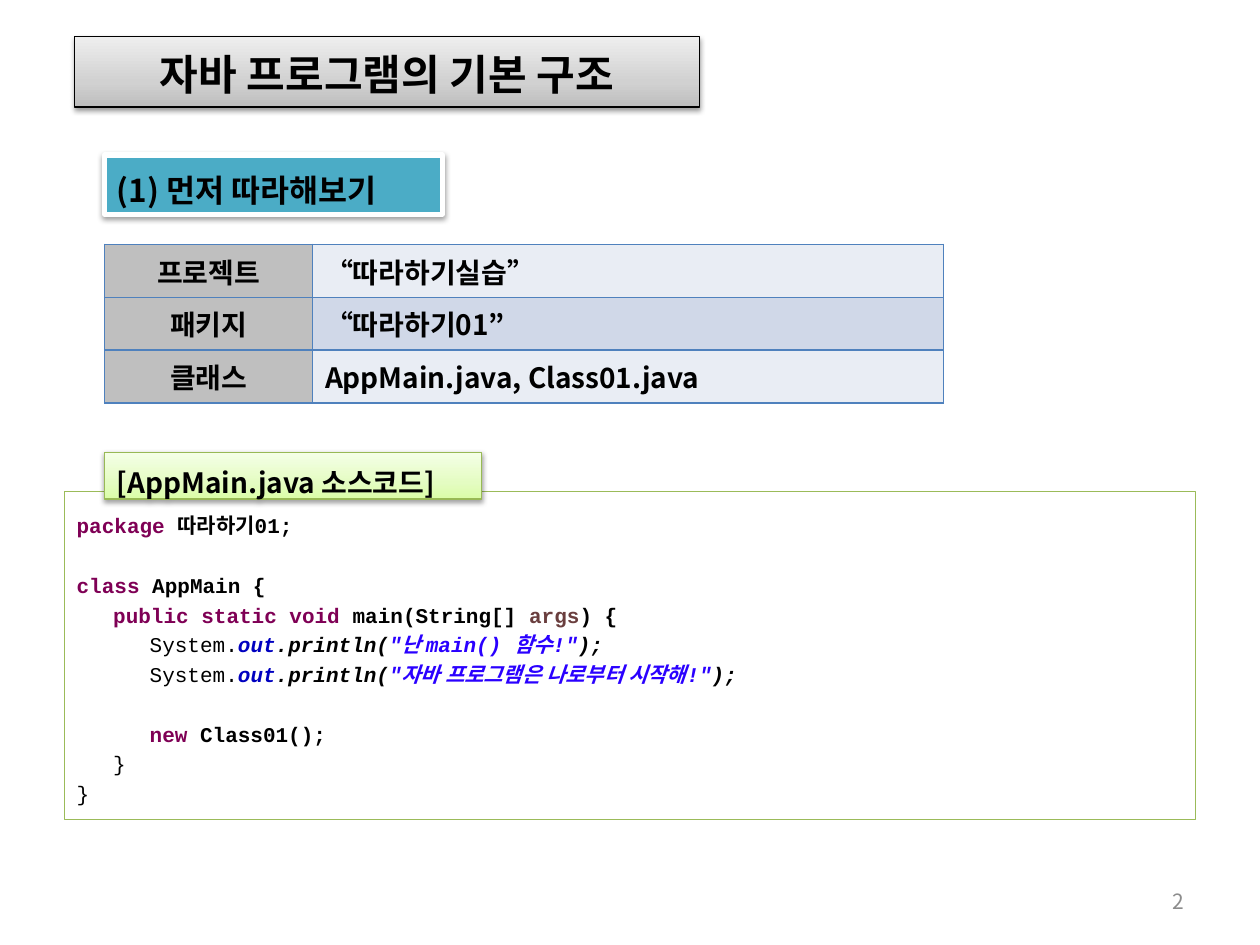
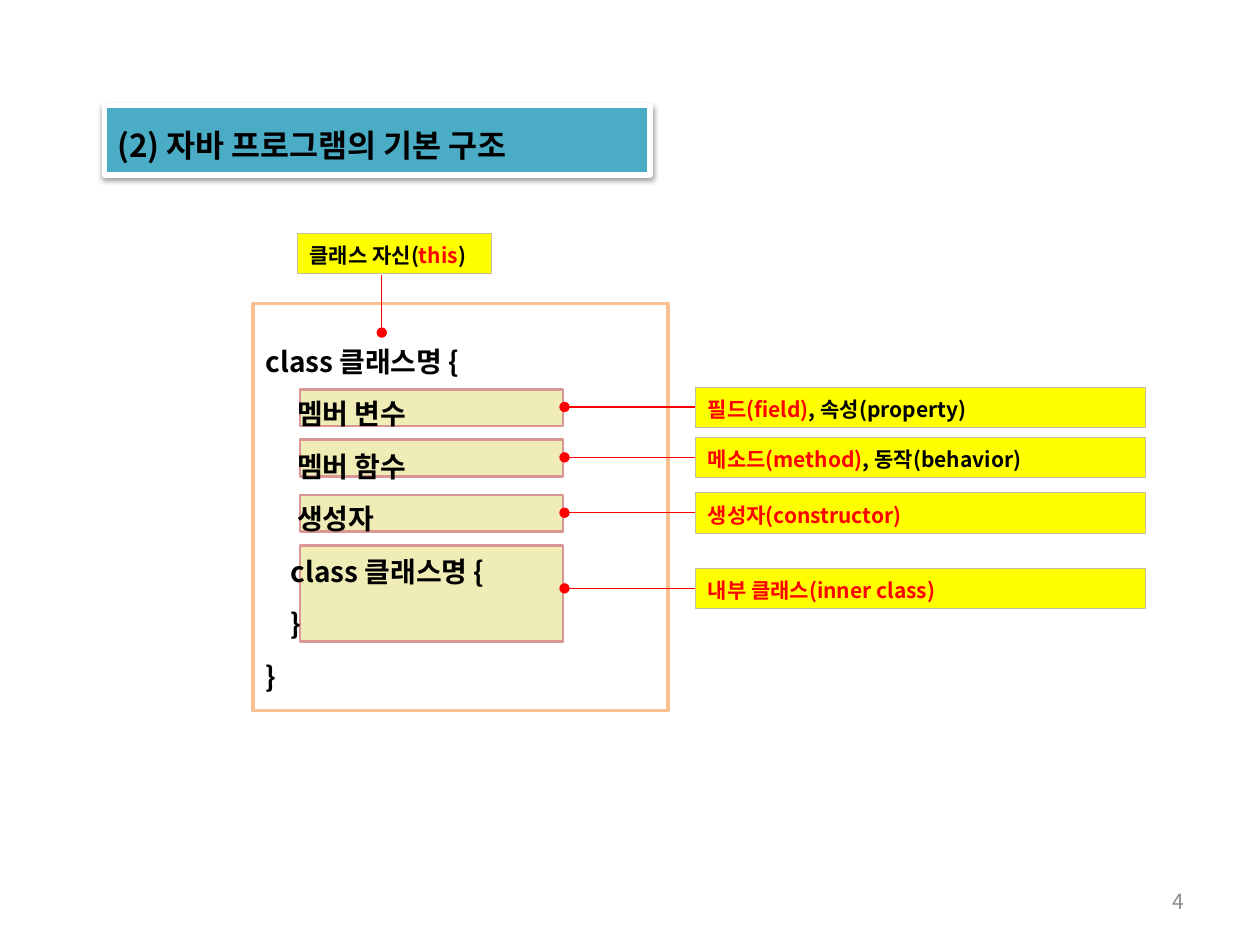
from lxml import etree
from pptx import Presentation
from pptx.dml.color import RGBColor as Rgb
from pptx.enum.shapes import MSO_CONNECTOR as Connector, MSO_SHAPE as Preset
from pptx.enum.text import MSO_ANCHOR as Anchor, MSO_AUTO_SIZE as AutoSize, PP_ALIGN as Align
from pptx.oxml.ns import qn
from pptx.util import Inches, Pt

COLORS = {
    "black": "000000", "white": "FFFFFF", "red": "FF0000", "page": "8C8C8C",
    "heading": "4BACC6", "label": "FFFF00", "label_line": "C4BD97",
    "member": "F0ECB6", "member_line": "D99694", "class_line": "FAC090",
    "code_line": "9BBB59", "tab_line": "98B955",
    "head_cell": "BFBFBF", "odd_row": "E9EDF4", "even_row": "D0D8E8", "border": "4F81BD",
    "keyword": "7F0055", "argument": "6A3E3E", "static": "0000C0", "string": "2A00FF",
}
GRAY_GRADIENT = ((0, "BDBDBD"), (35, "D1D1D1"), (100, "EEEEEE"))
GREEN_GRADIENT = ((0, "DAFDA7"), (35, "E4FCC2"), (100, "F5FFE7"))
FONT = "Noto Sans CJK KR"
CODE_FONT = "Courier New"


def style_box(shape, spot, fill, line, weight, shadow=False):
    """Place a shape and paint it; fill is a colour name, gradient stops or None."""
    shape.left, shape.top, shape.width, shape.height = map(Inches, spot)
    if fill is None:
        shape.fill.background()
    elif isinstance(fill, str):
        shape.fill.solid()
        shape.fill.fore_color.rgb = Rgb.from_string(COLORS[fill])
    else:
        shape.fill.gradient()
        shape.fill.gradient_angle = 90
        stops = shape._element.spPr.find(qn("a:gradFill")).find(qn("a:gsLst"))
        for stop in list(stops):
            stops.remove(stop)
        for percent, color in fill:
            stop = etree.SubElement(stops, qn("a:gs"), pos=str(percent * 1000))
            etree.SubElement(stop, qn("a:srgbClr"), val=color)
    shape.line.color.rgb = Rgb.from_string(COLORS[line])
    shape.line.width = Pt(weight)
    shape.shadow.inherit = False
    if shadow:
        effects = shape._element.spPr.find(qn("a:effectLst"))
        outer = etree.SubElement(effects, qn("a:outerShdw"), blurRad=str(Pt(3.1)),
                                 dist=str(Pt(1.6)), dir="5400000", rotWithShape="0")
        color = etree.SubElement(outer, qn("a:srgbClr"), val=COLORS["black"])
        etree.SubElement(color, qn("a:alpha"), val="38000")
    return shape


def write(frame, lines, size, align=Align.LEFT, spacing=None, font=FONT, top=0.08):
    """Fill a text frame; a line is (indent, space before, spans), a span (text, colour, flags)."""
    frame.word_wrap = True
    frame.vertical_anchor = Anchor.MIDDLE
    frame.margin_left = frame.margin_right = Inches(0.1)
    frame.margin_top, frame.margin_bottom = Inches(top), Inches(0.05)
    for number, (indent, before, spans) in enumerate(lines):
        para = frame.add_paragraph() if number else frame.paragraphs[0]
        para.alignment = align
        para.space_before = Pt(before)
        if spacing:
            para.line_spacing = Pt(spacing)
        para._p.get_or_add_pPr().set("marL", str(Inches(indent)))
        for text, color, flags in spans:
            span = para.add_run()
            span.text = text
            span.font.size = Pt(size)
            span.font.name = font
            span.font.bold = "b" in flags
            span.font.italic = "i" in flags
            span.font.color.rgb = Rgb.from_string(COLORS[color])
            etree.SubElement(span._r.rPr, qn("a:ea"), typeface=FONT)


deck = Presentation()
deck.slide_width, deck.slide_height = Inches(10), Inches(7.5)
title_only = deck.slide_layouts[5]
structure_page, parts_page = (deck.slides.add_slide(title_only) for _ in range(2))

for page, number in ((structure_page, "2"), (parts_page, "4")):
    page.shapes.title.text_frame.auto_size = AutoSize.NONE
    box = page.shapes.add_textbox(Inches(7.17), Inches(6.95), Inches(2.33), Inches(0.4))
    write(box.text_frame, [(0, 0, [(number, "page", "")])], 12, Align.RIGHT, top=0.05)

# Main title and the blue section headings
title = style_box(structure_page.shapes.title, (0.59, 0.29, 4.96, 0.56),
                  GRAY_GRADIENT, "black", 0.75, True)
write(title.text_frame, [(0, 0, [("자바 프로그램의 기본 구조", "black", "b")])], 24, Align.CENTER)

first_heading = structure_page.shapes.add_shape(Preset.FLOWCHART_PROCESS, 0, 0, 0, 0)
for heading, spot, text in (
    (first_heading, (0.83, 1.23, 2.68, 0.47), "(1) 먼저 따라해보기"),
    (parts_page.shapes.title, (0.83, 0.84, 4.33, 0.55), "(2) 자바 프로그램의 기본 구조"),
):
    style_box(heading, spot, "heading", "white", 3, True)
    write(heading.text_frame, [(0, 0, [(text, "black", "b")])], 18, spacing=25)

# Project table
rows = (("프로젝트", "“따라하기실습”"), ("패키지", "“따라하기01”"),
        ("클래스", "AppMain.java, Class01.java"))
table = structure_page.shapes.add_table(3, 2, Inches(0.83), Inches(1.94),
                                        Inches(6.66), Inches(1.26)).table
table.first_row = table.horz_banding = False
table.columns[0].width, table.columns[1].width = Inches(1.65), Inches(5.01)
for row_number, row in enumerate(rows):
    row_fill = "even_row" if row_number % 2 else "odd_row"
    for column, text in enumerate(row):
        cell = table.cell(row_number, column)
        write(cell.text_frame, [(0, 0, [(text, "black", "b")])], 16,
              Align.LEFT if column else Align.CENTER)
        cell.vertical_anchor = Anchor.MIDDLE
        cell.margin_left = cell.margin_right = Inches(0.1)
        cell.margin_top = cell.margin_bottom = Inches(0.05)
        properties = cell._tc.get_or_add_tcPr()
        for side in ("a:lnL", "a:lnR", "a:lnT", "a:lnB"):
            border = etree.SubElement(properties, qn(side), w=str(Pt(1)))
            paint = etree.SubElement(border, qn("a:solidFill"))
            etree.SubElement(paint, qn("a:srgbClr"), val=COLORS["border"])
        cell.fill.solid()
        cell.fill.fore_color.rgb = Rgb.from_string(COLORS[row_fill if column else "head_cell"])

# Source code with its file tab
TAB = 0.29
LINE = 17
code = [
    (0, 0, [("package ", "keyword", "b"), ("따라하기01;", "black", "b")]),
    (0, LINE, [("class ", "keyword", "b"), ("AppMain {", "black", "b")]),
    (TAB, 0, [("public static void", "keyword", "b"), (" main(String[] ", "black", "b"),
              ("args", "argument", "b"), (") {", "black", "b")]),
]
for message in ('"난 main() 함수!"', '"자바 프로그램은 나로부터 시작해!"'):
    code.append((2 * TAB, 0, [("System.", "black", ""), ("out", "static", "bi"),
                              (".println(", "black", "bi"), (message, "string", "bi"),
                              (");", "black", "bi")]))
code += [
    (2 * TAB, LINE, [("new ", "keyword", "b"), ("Class01();", "black", "b")]),
    (TAB, 0, [("}", "black", "")]),
    (0, 0, [("}", "black", "")]),
]
code_box = structure_page.shapes.add_shape(Preset.FLOWCHART_PROCESS, 0, 0, 0, 0)
style_box(code_box, (0.51, 3.9, 8.98, 2.6), "white", "code_line", 0.25)
write(code_box.text_frame, code, 12, spacing=LINE, font=CODE_FONT)

file_tab = structure_page.shapes.add_shape(Preset.FLOWCHART_PROCESS, 0, 0, 0, 0)
style_box(file_tab, (0.83, 3.59, 2.99, 0.37), GREEN_GRADIENT, "tab_line", 0.75, True)
write(file_tab.text_frame, [(0, 0, [("[AppMain.java 소스코드]", "black", "b")])], 16, spacing=25)

# Class outline: member frames lie behind its text
shapes = parts_page.shapes
for top, height in ((3.09, 0.29), (3.49, 0.29), (3.93, 0.29), (4.33, 0.76)):
    member = shapes.add_shape(Preset.RECTANGLE, 0, 0, 0, 0)
    style_box(member, (2.38, top, 2.09, height), "member", "member_line", 1.5)

outline = ((0, "class 클래스명 {"), (0.25, "멤버 변수"), (0.25, "멤버 함수"), (0.25, "생성자"),
           (0.2, "class 클래스명 {"), (0.2, "}"), (0, "}"))
class_box = shapes.add_shape(Preset.FLOWCHART_PROCESS, 0, 0, 0, 0)
style_box(class_box, (2.01, 2.41, 3.29, 3.23), None, "class_line", 2)
write(class_box.text_frame, [(indent, 0, [(text, "black", "b")]) for indent, text in outline],
      16, spacing=30)

# Yellow labels, each with a pointer that starts in a dot
labels = [((4.48, y, 5.55, y), (5.52, y - 0.16, 3.57, 0.32), spans) for y, spans in (
    (3.23, [("필드(field)", "red", "b"), (", 속성(property)", "black", "b")]),
    (3.63, [("메소드(method)", "red", "b"), (", 동작(behavior)", "black", "b")]),
    (4.07, [("생성자(constructor)", "red", "b")]),
    (4.67, [("내부 클래스(inner class)", "red", "b")]),
)]
labels.append(((3.03, 2.64, 3.03, 2.18), (2.36, 1.85, 1.54, 0.32),
               [("클래스 자신(", "black", "b"), ("this", "red", "b"), (")", "black", "b")]))
for ends, spot, spans in labels:
    pointer = shapes.add_connector(Connector.STRAIGHT, *map(Inches, ends))
    pointer.line.color.rgb = Rgb.from_string(COLORS["red"])
    pointer.line.width = Pt(0.75)
    etree.SubElement(pointer.line._get_or_add_ln(), qn("a:headEnd"), type="oval")
    etree.SubElement(pointer._element.spPr, qn("a:effectLst"))
    label = shapes.add_shape(Preset.FLOWCHART_PROCESS, 0, 0, 0, 0)
    style_box(label, spot, "label", "label_line", 0.25)
    write(label.text_frame, [(0, 0, spans)], 12)

deck.save("out.pptx")
